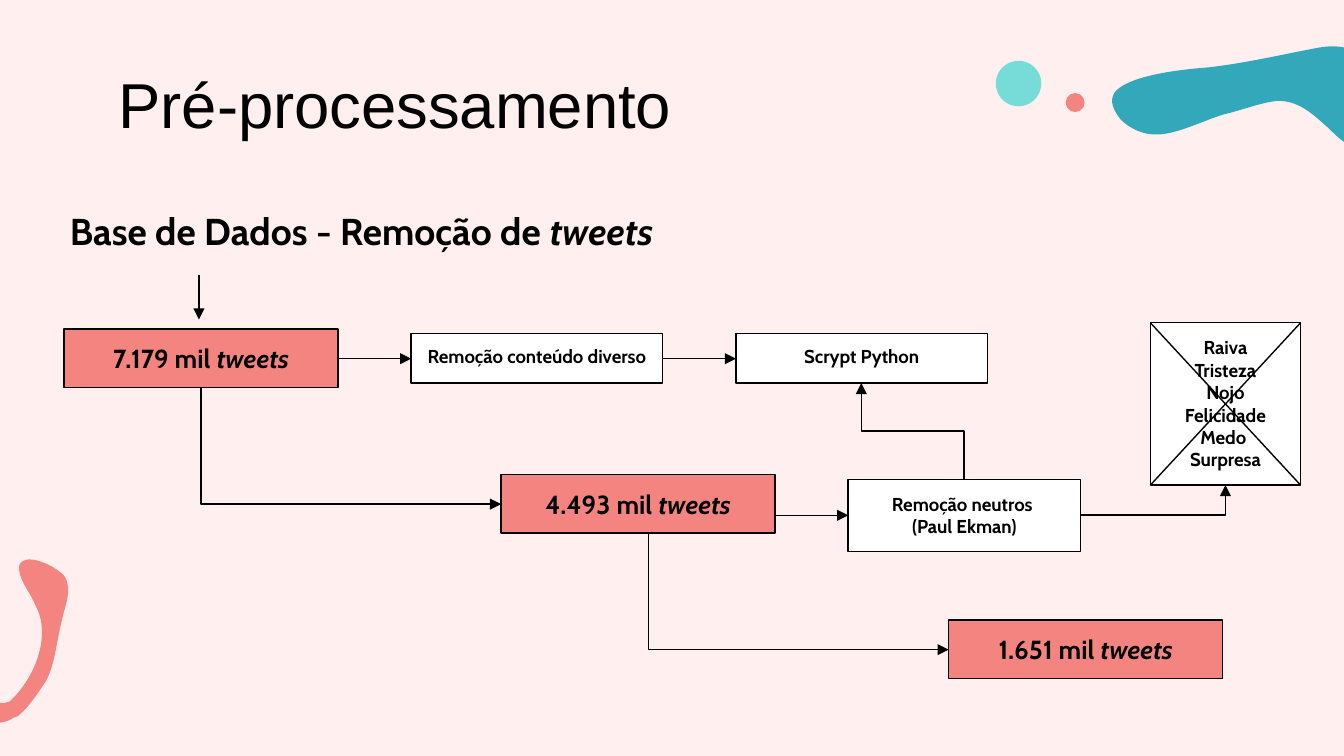
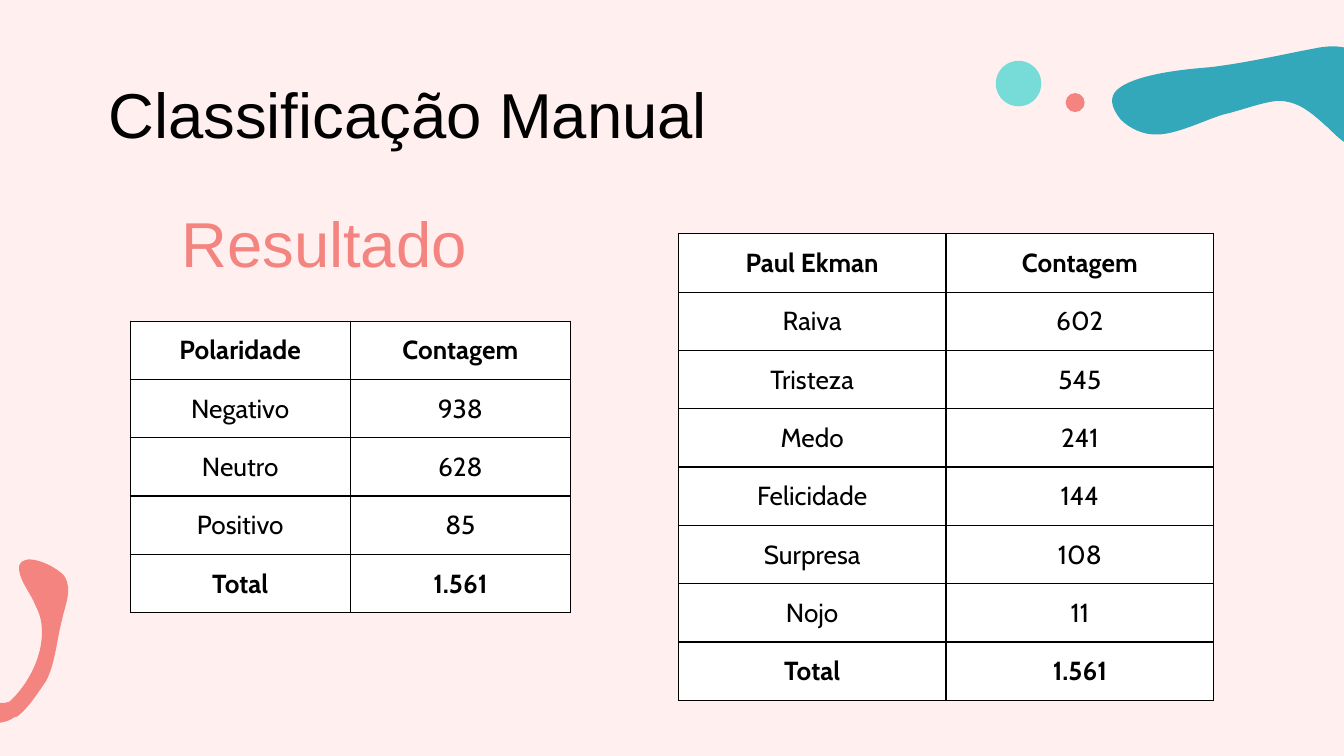
from math import cos, radians, sin

from lxml.etree import SubElement
from pptx import Presentation
from pptx.dml.color import RGBColor
from pptx.enum.shapes import MSO_CONNECTOR as Link, MSO_SHAPE as Preset
from pptx.enum.text import MSO_ANCHOR as Anchor, MSO_AUTO_SIZE as AutoSize, PP_ALIGN as Align
from pptx.oxml.ns import qn
from pptx.util import Cm, Pt

COLORS = {
    "background": "FFF0EF",
    "teal": "33A8BB",
    "aqua": "77DCD8",
    "coral": "F48480",
    "white": "FFFFFF",
    "black": "000000",
}
TITLE = {"name": "Arial", "size": Pt(34)}
HEADING = {"name": "Cabin", "size": Pt(20), "bold": True}
LARGE = {"name": "Cabin", "size": Pt(14), "bold": True}
SMALL = {"name": "Cabin", "size": Pt(10), "bold": True}
TABLE_BODY = {**LARGE, "bold": False}
ITALIC = {"italic": True}
INSET = Cm(2.54) // 10
MARGINS = {f"margin_{side}": INSET for side in ("left", "right", "top", "bottom")}
LINE_WIDTH = Pt(0.75)
UNIT = Cm(2.54) // 100  # grid unit of the blob outlines

# Blob outlines: a start point, then three points for each Bezier curve
TEAL_BLOB = [
    (5, 31), (19, 18), (63, 15), (74, 14), (100, 11), (126, 5), (152, 0),
    (185, -7), (200, 10), (207, 42), (209, 46), (207, 50), (203, 54),
    (199, 57), (195, 61), (192, 63), (190, 65), (183, 71), (180, 72),
    (174, 72), (164, 60), (160, 57), (150, 48), (140, 39), (125, 39),
    (113, 40), (98, 46), (85, 49), (71, 53), (48, 65), (33, 64),
    (25, 64), (15, 60), (8, 53), (0, 43), (0, 36), (5, 31),
]
CORAL_BLOB = [
    (102, 121), (101, 121), (100, 122), (99, 122), (94, 126), (86, 126), (80, 127),
    (65, 128), (51, 126), (37, 120), (26, 116), (4, 107), (0, 94),
    (3, 92), (6, 89), (9, 87), (6, 89), (17, 97), (19, 98),
    (30, 105), (43, 107), (55, 107), (66, 108), (78, 111), (88, 111),
    (93, 111), (94, 111), (96, 110), (97, 109), (98, 108), (100, 106),
    (111, 94), (120, 76), (120, 59), (120, 51), (119, 46), (115, 38),
    (112, 30), (104, 21), (103, 12), (103, 9), (103, 7), (105, 6),
    (112, 0), (133, 11), (137, 17), (143, 27), (137, 39), (135, 49),
    (131, 64), (130, 82), (123, 95), (118, 102), (110, 115), (102, 121),
]


def rgb(name):
    return RGBColor.from_string(COLORS[name])


def paint(shape, fill, outlined=False):
    shape.shadow.inherit = False
    shape.fill.solid()
    shape.fill.fore_color.rgb = rgb(fill)
    if outlined:
        shape.line.color.rgb = rgb("black")
        shape.line.width = LINE_WIDTH
    else:
        shape.line.fill.background()


def write(frame, paragraphs, style, color="black", align=Align.LEFT):
    """Each paragraph is a list of (text, extra format) runs."""
    layout = {"word_wrap": True, "vertical_anchor": Anchor.TOP, **MARGINS}
    for name, value in layout.items():
        setattr(frame, name, value)
    for index, runs in enumerate(paragraphs):
        paragraph = frame.add_paragraph() if index else frame.paragraphs[0]
        paragraph.alignment = align
        for text, extra in runs:
            run = paragraph.add_run()
            run.text = text
            for name, value in {**style, **extra}.items():
                setattr(run.font, name, value)
            run.font.color.rgb = rgb(color)


def add_text(slide, box, paragraphs, style, color="black"):
    shape = slide.shapes.add_textbox(*map(Cm, box))
    write(shape.text_frame, paragraphs, style, color)


def add_title(slide, box, text, color="black"):
    add_text(slide, box, [[(text, {})]], TITLE, color)


def add_box(slide, box, paragraphs, style, fill):
    shape = slide.shapes.add_shape(Preset.RECTANGLE, *map(Cm, box))
    paint(shape, fill, outlined=True)
    write(shape.text_frame, paragraphs, style, align=Align.CENTER)
    shape.text_frame.auto_size = AutoSize.SHAPE_TO_FIT_TEXT


def add_line(slide, begin, end, kind=Link.STRAIGHT, arrow=True):
    connector = slide.shapes.add_connector(kind, *map(Cm, (*begin, *end)))
    connector.line.color.rgb = rgb("black")
    connector.line.width = LINE_WIDTH
    properties = connector.element.spPr
    if arrow:
        SubElement(properties.find(qn("a:ln")), qn("a:tailEnd"), type="triangle")
    SubElement(properties, qn("a:effectLst"))
    return connector


def add_elbow(slide, begin, end, preset, rotation=None):
    """A rotation in degrees makes the first leg vertical."""
    connector = add_line(slide, begin, end, Link.ELBOW)
    properties = connector.element.spPr
    properties.find(qn("a:prstGeom")).set("prst", preset)
    if rotation is None:
        return
    width, height = connector.width, connector.height
    connector.left += (width - height) // 2
    connector.top += (height - width) // 2
    connector.width, connector.height = height, width
    transform = properties.find(qn("a:xfrm"))
    transform.attrib.pop("flipV", None)
    transform.set("flipH", "1")
    transform.set("rot", str(rotation * 60000))


def add_blob(slide, box, rotation, center, points, fill):
    """Center is the middle of the box, in the grid units of the points."""
    left, top, width, height = map(Cm, box)
    builder = slide.shapes.build_freeform(0, 0, scale=1.0)
    builder.add_line_segments([(width, 0), (width, height), (0, height)], close=True)
    shape = builder.convert_to_shape(left, top)
    shape.rotation = rotation
    paint(shape, fill)

    # Turn the outline back, so that the rotated shape shows it upright
    cosine, sine = cos(radians(-rotation)), sin(radians(-rotation))
    turned = []
    for x, y in points:
        x, y = (x - center[0]) * UNIT, (y - center[1]) * UNIT
        turned.append((width / 2 + x * cosine - y * sine, height / 2 + x * sine + y * cosine))

    # Replace the straight sides by curves
    outline = next(shape.element.iter(qn("a:path")))
    for segment in list(outline):
        outline.remove(segment)
    segments = [("moveTo", turned[:1])]
    segments += [("cubicBezTo", turned[i:i + 3]) for i in range(1, len(turned), 3)]
    for tag, targets in segments:
        segment = SubElement(outline, qn(f"a:{tag}"))
        for x, y in targets:
            SubElement(segment, qn("a:pt"), x=str(round(x)), y=str(round(y)))
    SubElement(outline, qn("a:close"))


def add_decoration(slide):
    add_blob(slide, (21.64, -0.15, 4.24, 3.96), 315, (109.5, 36), TEAL_BLOB, "teal")
    for left, top, diameter, fill in [(18.82, 1.15, 0.86, "aqua"), (20.14, 1.76, 0.36, "coral")]:
        circle = slide.shapes.add_shape(
            Preset.OVAL, Cm(left), Cm(top), Cm(diameter), Cm(diameter))
        paint(circle, fill)
    add_blob(slide, (-2.18, 11.33, 4.06, 2.26), 142, (83, 78.5), CORAL_BLOB, "coral")


def add_flow(slide, left, top):
    def at(x, y):
        return left + x, top + y

    # Heading
    add_text(slide, (*at(0, 0), 11.63, 1.37),
             [[("Base de Dados - Remoção de ", {}), ("tweets", ITALIC)]], HEADING)
    add_line(slide, at(2.69, 1.52), at(2.69, 2.36))

    # Tweet counts, descending in equal steps
    counts = [(0.14, "7.179 mil "), (8.4, "4.493 mil "), (16.86, "1.651 mil ")]
    for row, (x, count) in enumerate(counts):
        add_box(slide, (*at(x, 2.54 + 2.75 * row), 5.18, 1.11),
                [[(count, {}), ("tweets", ITALIC)]], LARGE, "coral")

    # Removal steps
    emotions = ["Raiva", "Tristeza", "Nojo", "Felicidade", "Medo ", "Surpresa"]
    steps = [
        (6.7, 2.62, 4.75, 0.94, ["Remoção conteúdo diverso"]),
        (12.84, 2.62, 4.75, 0.94, ["Scrypt Python"]),
        (14.96, 5.38, 4.39, 1.37, ["Remoção neutros ", "(Paul Ekman)"]),
        (20.67, 2.42, 2.84, 3.07, emotions),
    ]
    for x, y, width, height, lines in steps:
        add_box(slide, (*at(x, y), width, height),
                [[(line, {})] for line in lines], SMALL, "white")

    # Cross over the emotions box, the last step
    add_line(slide, at(x + width, y), at(x, y + height), arrow=False)
    add_line(slide, at(x, y), at(x + width, y + height), arrow=False)

    # Arrows
    for begin, end, y in [(5.32, 6.7, 3.1), (11.45, 12.84, 3.1), (13.58, 14.96, 6.06)]:
        add_line(slide, at(begin, y), at(end, y))
    add_elbow(slide, at(2.73, 3.65), at(8.4, 5.85), "bentConnector2", 270)
    add_elbow(slide, at(11.19, 6.4), at(16.86, 8.6), "bentConnector2", 270)
    add_elbow(slide, at(19.35, 6.06), at(22.09, 5.49), "bentConnector2")
    add_elbow(slide, at(17.15, 5.38), at(15.21, 3.56), "bentConnector3", 90)


def add_count_table(slide, left, top, column_width, row_height, rows):
    size = (column_width * 2, row_height * len(rows))
    frame = slide.shapes.add_table(len(rows), 2, *map(Cm, (left, top, *size)))
    table = frame.table
    table.first_row = table.horz_banding = False
    for column in table.columns:
        column.width = Cm(column_width)
    for index, values in enumerate(rows):
        table.rows[index].height = Cm(row_height)
        style = LARGE if index in (0, len(rows) - 1) else TABLE_BODY
        for cell, value in zip(table.rows[index].cells, values):
            write(cell.text_frame, [[(value, {})]], style, align=Align.CENTER)
            properties = cell.text_frame._txBody.getparent().get_or_add_tcPr()
            for side in ("lnL", "lnR", "lnT", "lnB"):
                border = SubElement(properties, qn(f"a:{side}"), w=str(LINE_WIDTH))
                fill = SubElement(border, qn("a:solidFill"))
                SubElement(fill, qn("a:srgbClr"), val=COLORS["black"])
            cell.fill.solid()
            cell.fill.fore_color.rgb = rgb("white")
            for name, value in MARGINS.items():
                setattr(cell, name, value)


def new_slide(presentation):
    slide = presentation.slides.add_slide(presentation.slide_layouts[6])
    background = slide.background.fill
    background.solid()
    background.fore_color.rgb = rgb("background")
    add_decoration(slide)
    return slide


def build_preprocessing(presentation):
    slide = new_slide(presentation)
    add_title(slide, (1.99, 0.97, 21.44, 1.6), "Pré-processamento")
    add_flow(slide, 1.07, 3.68)


def build_classification(presentation):
    slide = new_slide(presentation)
    add_title(slide, (1.8, 1.17, 21.44, 1.6), "Classificação Manual")
    add_count_table(slide, 2.46, 6.07, 4.16, 1.07, [
        ("Polaridade", "Contagem"),
        ("Negativo", "938"),
        ("Neutro", "628"),
        ("Positivo", "85"),
        ("Total", "1.561"),
    ])
    add_count_table(slide, 12.82, 4.42, 5.06, 0.97, [
        ("Paul Ekman", "Contagem"),
        ("Raiva", "602"),
        ("Tristeza", "545"),
        ("Medo", "241"),
        ("Felicidade", "144"),
        ("Surpresa", "108"),
        ("Nojo", "11"),
        ("Total", "1.561"),
    ])
    add_title(slide, (3.18, 3.61, 6.48, 1.6), "Resultado", "coral")


def main():
    presentation = Presentation()
    presentation.slide_width, presentation.slide_height = Cm(25.4), Cm(14.29)
    build_preprocessing(presentation)
    build_classification(presentation)
    presentation.save("out.pptx")


if __name__ == "__main__":
    main()
